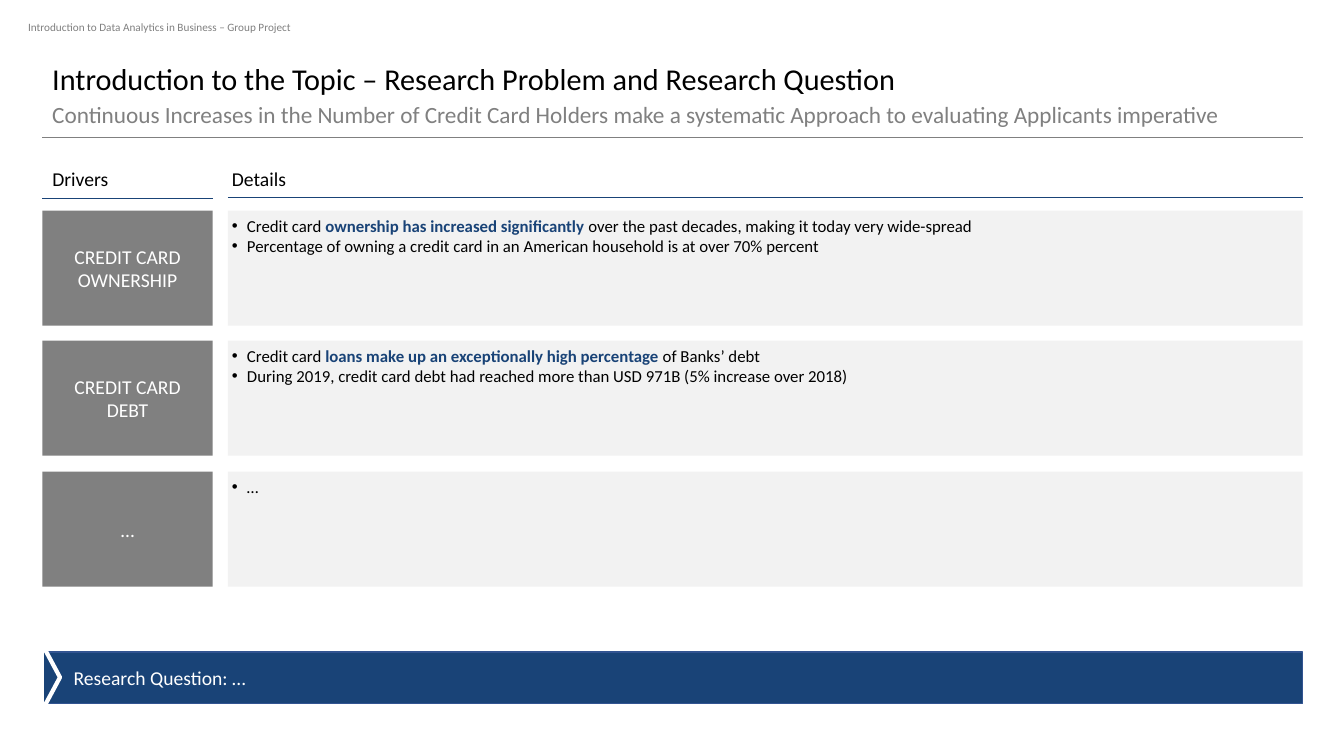
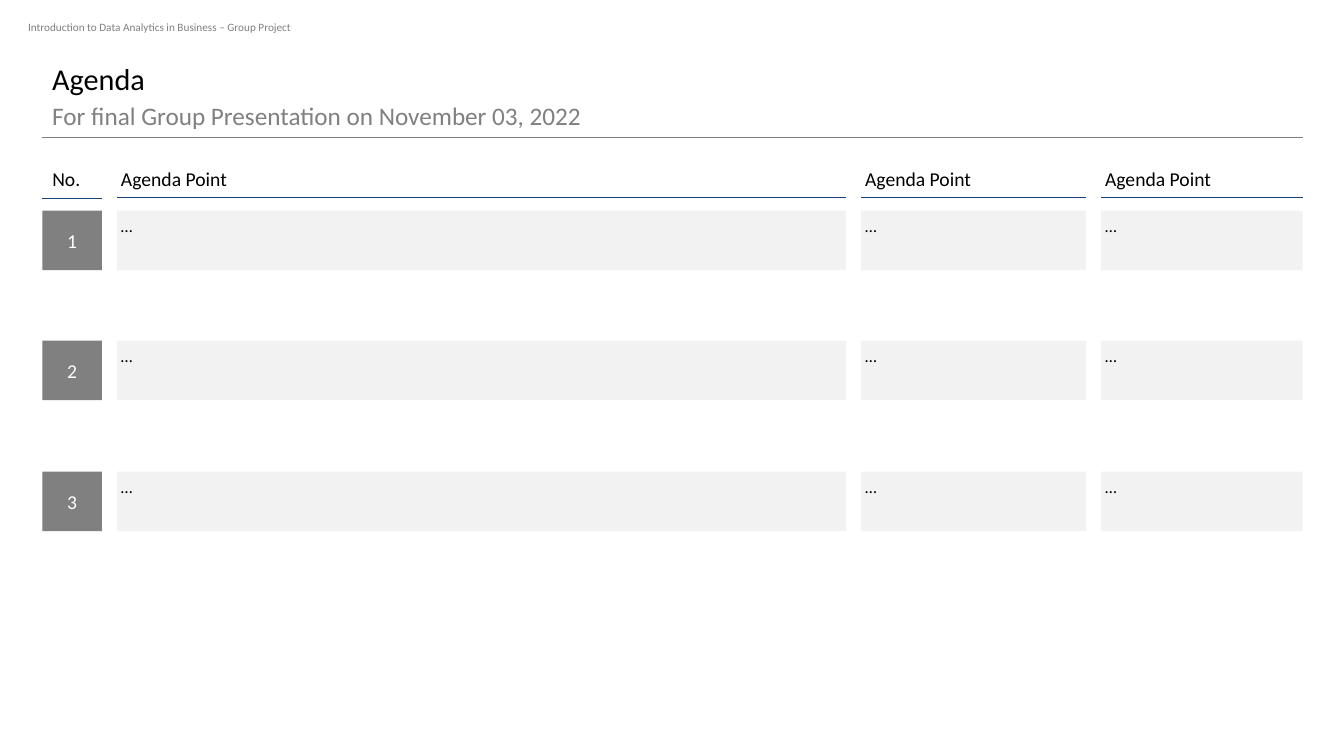
"""Builds the research problem and agenda slides of a group project deck."""
from pptx import Presentation
from pptx.dml.color import RGBColor
from pptx.enum.shapes import MSO_CONNECTOR as CONN, MSO_SHAPE as SHAPE
from pptx.enum.text import MSO_ANCHOR as ANCHOR, PP_ALIGN as ALIGN
from pptx.oxml.ns import qn
from pptx.util import Inches, Pt
from lxml import etree

BLACK = RGBColor(0x00, 0x00, 0x00)
WHITE = RGBColor(0xFF, 0xFF, 0xFF)
GRAY = RGBColor(0x80, 0x80, 0x80)
LIGHT = RGBColor(0xF2, 0xF2, 0xF2)
NAVY = RGBColor(0x19, 0x43, 0x77)
EDGE = RGBColor(0x32, 0x54, 0x91)

FONT = "Calibri"
LEFT, WIDTH, GAP = 0.42, 12.5, 0.15
HEAD_TOP, HEAD_H = 1.59, 0.37
ROW_TOPS = (2.09, 3.38, 4.68)
PLAIN = (0.1, 0.05, 0.1, 0.05)
TIGHT = (0.04, 0.05, 0.04, 0.05)


def add_box(s, at, paras, size, color=BLACK, fill=None, ins=PLAIN,
            anchor=ANCHOR.MIDDLE, align=ALIGN.LEFT, spacing=1.0, bullet=False):
    """Add a text box, or a rectangle if filled; text between asterisks is bold navy."""
    at = [Inches(v) for v in at]
    if fill is None:
        sp = s.shapes.add_textbox(*at)
    else:
        sp = s.shapes.add_shape(SHAPE.RECTANGLE, *at)
        sp.shadow.inherit = False
        sp.fill.solid()
        sp.fill.fore_color.rgb = fill
        sp.line.fill.background()
    tf = sp.text_frame
    tf.word_wrap = True
    tf.vertical_anchor = anchor
    for side, inset in zip(("left", "top", "right", "bottom"), ins):
        setattr(tf, f"margin_{side}", Inches(inset))
    for i, para in enumerate(paras):
        p = tf.add_paragraph() if i else tf.paragraphs[0]
        p.alignment, p.line_spacing = align, spacing
        if bullet:
            pPr = p._p.get_or_add_pPr()
            pPr.set("marL", str(Inches(0.15)))
            pPr.set("indent", str(-Inches(0.15)))
            etree.SubElement(pPr, qn("a:buFont")).set("typeface", "Arial")
            etree.SubElement(pPr, qn("a:buChar")).set("char", "•")
        for j, text in enumerate(para.split("*")):
            r = p.add_run()
            r.text = text
            bold = j % 2 == 1
            for name, value in {"name": FONT, "size": Pt(size), "bold": bold}.items():
                setattr(r.font, name, value)
            r.font.color.rgb = NAVY if bold else color
    return sp


def add_rule(s, left, y, width, color, weight):
    """Add a horizontal line without a shadow."""
    ln = s.shapes.add_connector(CONN.STRAIGHT, Inches(left), Inches(y),
                                Inches(left + width), Inches(y))
    ln.line.color.rgb = color
    ln.line.width = Pt(weight)
    etree.SubElement(ln._element.spPr, qn("a:effectLst"))


SLIDES = [
    {
        "title": "Introduction to the Topic – Research Problem and Research Question",
        "subtitle": "Continuous Increases in the Number of Credit Card Holders make "
                    "a systematic Approach to evaluating Applicants imperative",
        "subtitle_size": 16.6,
        "columns": [("Drivers", 1.69), ("Details", 10.66)],
        "row_height": 1.14,
        "bullet": True,
        "rows": [
            ("CREDIT CARD OWNERSHIP", [
                "Credit card *ownership has increased significantly* over the past "
                "decades, making it today very wide-spread",
                "Percentage of owning a credit card in an American household "
                "is at over 70% percent"]),
            ("CREDIT CARD DEBT", [
                "Credit card *loans make up an exceptionally high percentage* of Banks’ debt",
                "During 2019, credit card debt had reached more than USD 971B "
                "(5% increase over 2018)"]),
            ("…", ["…"]),
        ],
        "question": "Research Question: …",
    },
    {
        "title": "Agenda",
        "subtitle": "For final Group Presentation on November 03, 2022",
        "subtitle_size": 18,
        "columns": [("No.", 0.59), ("Agenda Point", 7.23),
                    ("Agenda Point", 2.23), ("Agenda Point", 2)],
        "row_height": 0.59,
        "bullet": False,
        "rows": [(str(n), ["…"], ["…"], ["…"]) for n in (1, 2, 3)],
        "question": None,
    },
]

prs = Presentation()
prs.slide_width, prs.slide_height = Inches(13.33), Inches(7.5)

for data in SLIDES:
    s = prs.slides.add_slide(prs.slide_layouts[6])
    add_box(s, (0.18, 0.15, 11.5, 0.25),
            ["Introduction to Data Analytics in Business – Group Project"],
            8, GRAY, spacing=0.9)
    add_rule(s, LEFT, 1.36, WIDTH, GRAY, 0.5)
    add_box(s, (LEFT, 0.59, WIDTH, 0.44), [data["title"]], 21.6,
            anchor=ANCHOR.TOP, spacing=0.9)
    add_box(s, (LEFT, 1.03, WIDTH, 0.37), [data["subtitle"]], data["subtitle_size"],
            GRAY, ins=(0.1, 0, 0.1, 0), anchor=ANCHOR.TOP, spacing=0.9)

    left = LEFT
    for col, (heading, width) in enumerate(data["columns"]):
        add_box(s, (left, HEAD_TOP, width, HEAD_H), [heading], 14,
                ins=TIGHT if col else PLAIN)
        add_rule(s, left, 1.96 if col else 1.97, width, NAVY, 1)
        for top, row in zip(ROW_TOPS, data["rows"]):
            at = (left, top, width, data["row_height"])
            if col:
                add_box(s, at, row[col], 12, fill=LIGHT, ins=TIGHT,
                        anchor=ANCHOR.TOP, bullet=data["bullet"])
            else:
                add_box(s, at, [row[col]], 14, WHITE, GRAY, align=ALIGN.CENTER)
        left += width + GAP

    if data["question"]:
        banner = add_box(s, (LEFT, 6.47, WIDTH, 0.51), [data["question"]], 14,
                         WHITE, NAVY, ins=(0.31, 0.05, 0.1, 0.05))
        banner.line.color.rgb = EDGE
        banner.line.width = Pt(1)
        arrow = s.shapes.add_shape(SHAPE.ISOSCELES_TRIANGLE, Inches(0.17), Inches(6.63),
                                   Inches(0.67), Inches(0.18))
        arrow.rotation = 90
        arrow.shadow.inherit = False
        arrow.fill.solid()
        arrow.fill.fore_color.rgb = NAVY
        arrow.line.color.rgb = WHITE
        arrow.line.width = Pt(3)

prs.save("out.pptx")
